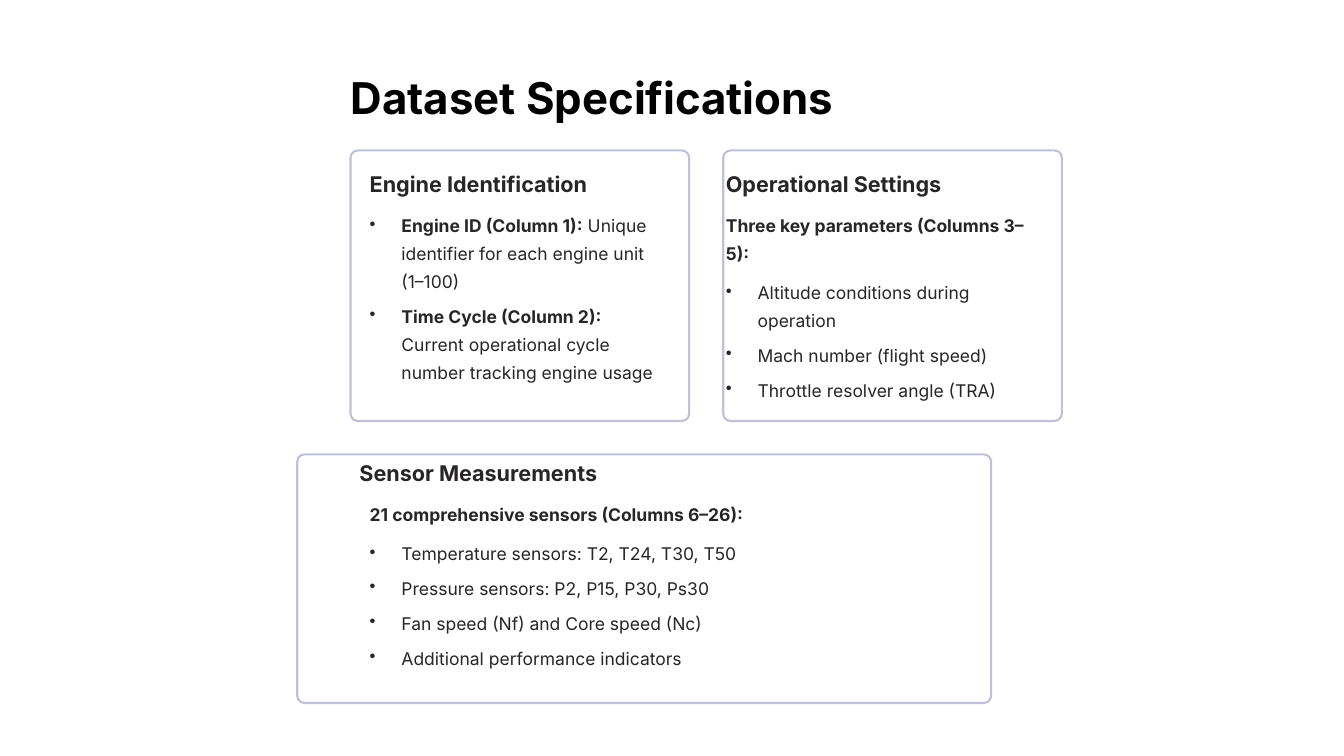
from dataclasses import dataclass

from lxml import etree
from pptx import Presentation
from pptx import util as u
from pptx.dml.color import RGBColor
from pptx.enum import shapes, text
from pptx.oxml.ns import qn

# Content: each body paragraph is (bulleted, bold part, plain part)
TITLE = "Dataset Specifications"
SECTIONS = [
    ("Engine Identification", [
        (True, "Engine ID (Column 1):", " Unique identifier for each engine unit (1–100)"),
        (True, "Time Cycle (Column 2):", " Current operational cycle number tracking engine usage"),
    ]),
    ("Operational Settings", [
        (False, "Three key parameters (Columns 3–5):", ""),
        (True, "", "Altitude conditions during operation"),
        (True, "", "Mach number (flight speed)"),
        (True, "", "Throttle resolver angle (TRA)"),
    ]),
    ("Sensor Measurements", [
        (False, "21 comprehensive sensors (Columns 6–26):", ""),
        (True, "", "Temperature sensors: T2, T24, T30, T50"),
        (True, "", "Pressure sensors: P2, P15, P30, Ps30"),
        (True, "", "Fan speed (Nf) and Core speed (Nc)"),
        (True, "", "Additional performance indicators"),
    ]),
]

# Layout in cm: card left, top, width, height; heading left, top; body left, width
TITLE_BOX = (10.6, 2.06, 14.78, 1.68)
LAYOUT = [
    ((10.6, 4.55, 10.24, 8.18), (11.18, 5.13), (11.18, 9.02)),
    ((21.87, 4.55, 10.24, 8.18), (21.95, 5.13), (21.95, 9.02)),
    ((8.99, 13.74, 20.98, 7.52), (10.87, 13.87), (11.18, 18.2)),
]
HEADING_HEIGHT = 0.84
HEADING_TO_BODY = 1.17
CORNER = 0.22
BULLET_INDENT = 0.96


@dataclass(frozen=True)
class Theme:
    font: str = "Inter"
    white: RGBColor = RGBColor(0xFF, 0xFF, 0xFF)
    title_ink: RGBColor = RGBColor(0, 0, 0)
    ink: RGBColor = RGBColor(0x27, 0x25, 0x25)
    border: RGBColor = RGBColor(0xC0, 0xC1, 0xD7)
    border_width: float = 1.8
    # Type size and line pitch in points
    title: tuple = (37.5, 47)
    heading: tuple = (18.5, 23.5)
    body: tuple = (15, 24)
    after_lead: float = 9.4
    after_bullet: float = 5.8


theme = Theme()
deck = Presentation()
deck.slide_width, deck.slide_height = u.Cm(40.64), u.Cm(22.86)
slide = deck.slides.add_slide(deck.slide_layouts[6])
slide.background.fill.solid()
slide.background.fill.fore_color.rgb = theme.white


def add_card(left, top, width, height):
    card = slide.shapes.add_shape(shapes.MSO_SHAPE.ROUNDED_RECTANGLE,
                                  *map(u.Cm, (left, top, width, height)))
    card.adjustments[0] = CORNER / min(width, height)
    card.shadow.inherit = False
    card.fill.solid()
    card.fill.fore_color.rgb = theme.white
    card.line.color.rgb = theme.border
    card.line.width = u.Pt(theme.border_width)


def add_bullet(paragraph):
    properties = paragraph._p.get_or_add_pPr()
    properties.set("marL", str(u.Cm(BULLET_INDENT)))
    properties.set("indent", str(-u.Cm(BULLET_INDENT)))
    etree.SubElement(properties, qn("a:buChar")).set("char", "•")


def add_text(box, paragraphs, style, ink):
    size, pitch = style
    frame = slide.shapes.add_textbox(*map(u.Cm, box)).text_frame
    frame.word_wrap = True
    frame.vertical_anchor = text.MSO_ANCHOR.TOP
    frame.margin_left = frame.margin_right = frame.margin_top = frame.margin_bottom = 0
    for index, (bulleted, strong, plain) in enumerate(paragraphs):
        paragraph = frame.add_paragraph() if index else frame.paragraphs[0]
        if bulleted:
            add_bullet(paragraph)
        paragraph.line_spacing = u.Pt(pitch)
        if index:
            follows_bullet = paragraphs[index - 1][0]
            paragraph.space_before = u.Pt(
                theme.after_bullet if follows_bullet else theme.after_lead)
        for words, bold in ((strong, True), (plain, False)):
            if words:
                run = paragraph.add_run()
                run.text = words
                run.font.name, run.font.size, run.font.bold = theme.font, u.Pt(size), bold
                run.font.color.rgb = ink


# Title
add_text(TITLE_BOX, [(False, TITLE, "")], theme.title, theme.title_ink)

# Cards with heading and body
for (heading, body), (card, heading_at, (body_left, body_width)) in zip(SECTIONS, LAYOUT):
    add_card(*card)
    heading_left, heading_top = heading_at
    add_text((heading_left, heading_top, body_width, HEADING_HEIGHT),
             [(False, heading, "")], theme.heading, theme.ink)
    body_top = heading_top + HEADING_TO_BODY
    body_height = card[1] + card[3] - body_top
    add_text((body_left, body_top, body_width, body_height), body, theme.body, theme.ink)

deck.save("out.pptx")
